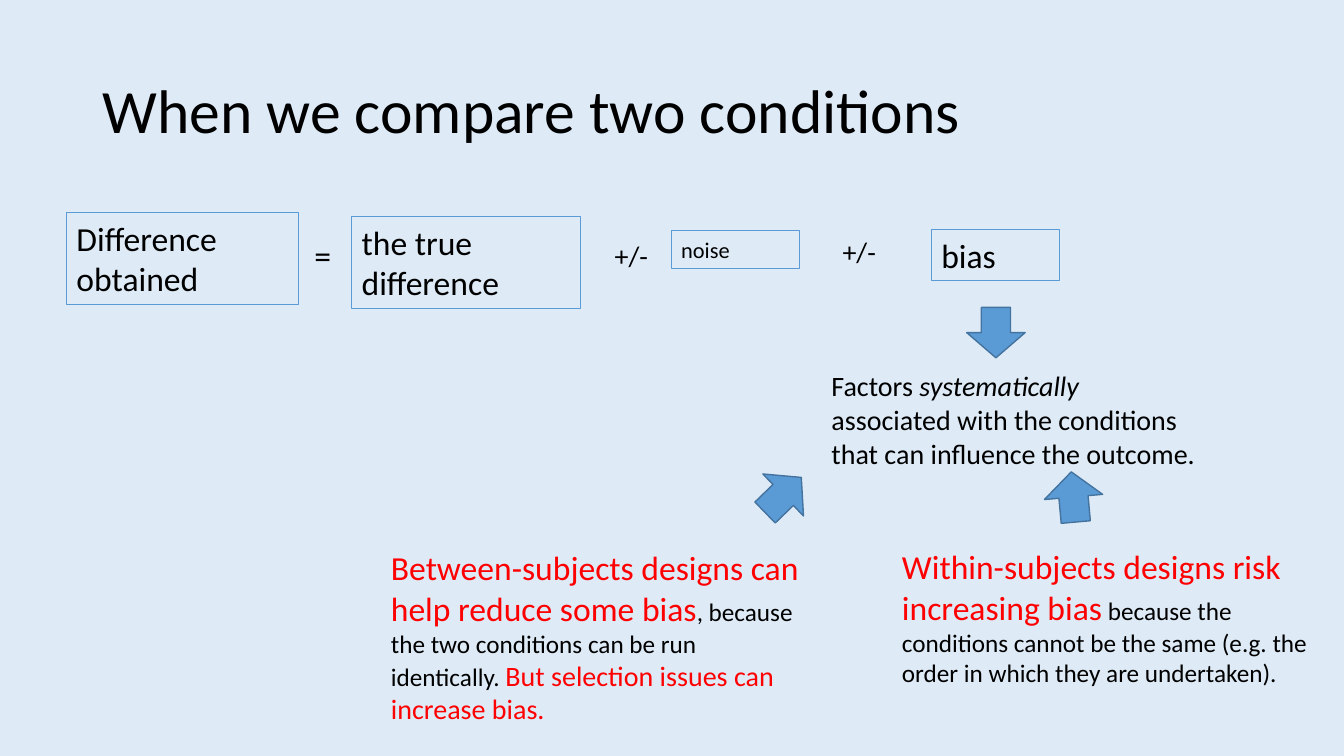
from pptx import Presentation, util as u
from pptx.dml.color import RGBColor
from pptx.enum import shapes, text

THEME = {
    "font": "Calibri",
    "background": RGBColor.from_string("DEEBF7"),
    "ink": RGBColor.from_string("000000"),
    "accent": RGBColor.from_string("5B9BD5"),
    "arrow_edge": RGBColor.from_string("43739E"),
    "warning": RGBColor.from_string("FF0000"),
    "title": 44,
    "large": 24,
    "medium": 20,
    "body": 18,
    "small": 16,
}

presentation = Presentation()
presentation.slide_width = u.Inches(13.33)
presentation.slide_height = u.Inches(7.5)
COLUMN = presentation.slide_width / 40
ROW = presentation.slide_height / 30

slide = presentation.slides.add_slide(presentation.slide_layouts[5])
slide.background.fill.solid()
slide.background.fill.fore_color.rgb = THEME["background"]


def grid(left, top, width, height):
    return int(left * COLUMN), int(top * ROW), int(width * COLUMN), int(height * ROW)


def write(paragraph, pieces):
    for words, size, color, italic in pieces:
        run = paragraph.add_run()
        run.text = words
        run.font.name = THEME["font"]
        run.font.size = u.Pt(THEME[size])
        run.font.color.rgb = THEME[color]
        run.font.italic = italic


title = slide.shapes.title
title.left, title.top, title.width, title.height = grid(2.76, 1.6, 34.5, 5.8)
title.text_frame.vertical_anchor = text.MSO_ANCHOR.MIDDLE
heading = title.text_frame.paragraphs[0]
heading.alignment = text.PP_ALIGN.LEFT
heading.line_spacing = 0.9
write(heading, [("When we compare two conditions", "title", "ink", False)])

equation = [
    ("Difference obtained", "large", True, (1.98, 8.44, 6.9, 3.64)),
    ("=", "large", False, (9.06, 9.12, 1.41, 2)),
    ("the true difference", "large", True, (10.47, 8.6, 6.81, 3.64)),
    ("+/-", "medium", False, (18, 9.28, 2.01, 1.76)),
    ("noise", "small", True, (19.98, 9.16, 3.81, 1.48)),
    ("+/-", "medium", False, (24.78, 9.12, 2.01, 1.76)),
    ("bias", "large", True, (27.72, 9.12, 3.81, 2)),
]
explanations = [
    ([("Factors ", "medium", "ink", False),
      ("systematically", "medium", "ink", True),
      (" associated with the conditions that can influence the outcome.", "medium", "ink", False)],
     False, (24.45, 14.44, 11.49, 4.44)),
    ([("Between-subjects designs can help reduce some bias", "large", "warning", False),
      (", because the two conditions can be run identically. ", "body", "ink", False),
      ("But selection issues can increase bias.", "medium", "warning", False)],
     False, (11.34, 21.52, 13.08, 7.52)),
    ([("Within-subjects designs risk increasing bias", "large", "warning", False),
      (" because the conditions cannot be the same (e.g. the order in which they are undertaken).",
       "body", "ink", False)],
     False, (26.55, 21.48, 13.08, 6.04)),
]
terms = [([(words, size, "ink", False)], framed, place) for words, size, framed, place in equation]

for pieces, framed, place in terms + explanations:
    box = slide.shapes.add_textbox(*grid(*place))
    box.text_frame.word_wrap = True
    box.text_frame.auto_size = text.MSO_AUTO_SIZE.SHAPE_TO_FIT_TEXT
    write(box.text_frame.paragraphs[0], pieces)
    if framed:
        box.line.color.rgb = THEME["accent"]
        box.line.width = u.Pt(0.75)

for left, top, rotation in [(28.77, 12.2, 0), (22.44, 18.64, 225.9), (31.08, 18.72, 174.9)]:
    arrow = slide.shapes.add_shape(shapes.MSO_SHAPE.DOWN_ARROW, *grid(left, top, 1.74, 2))
    arrow.rotation = rotation
    arrow.shadow.inherit = False
    arrow.fill.solid()
    arrow.fill.fore_color.rgb = THEME["accent"]
    arrow.line.color.rgb = THEME["arrow_edge"]
    arrow.line.width = u.Pt(1)

presentation.save("out.pptx")
